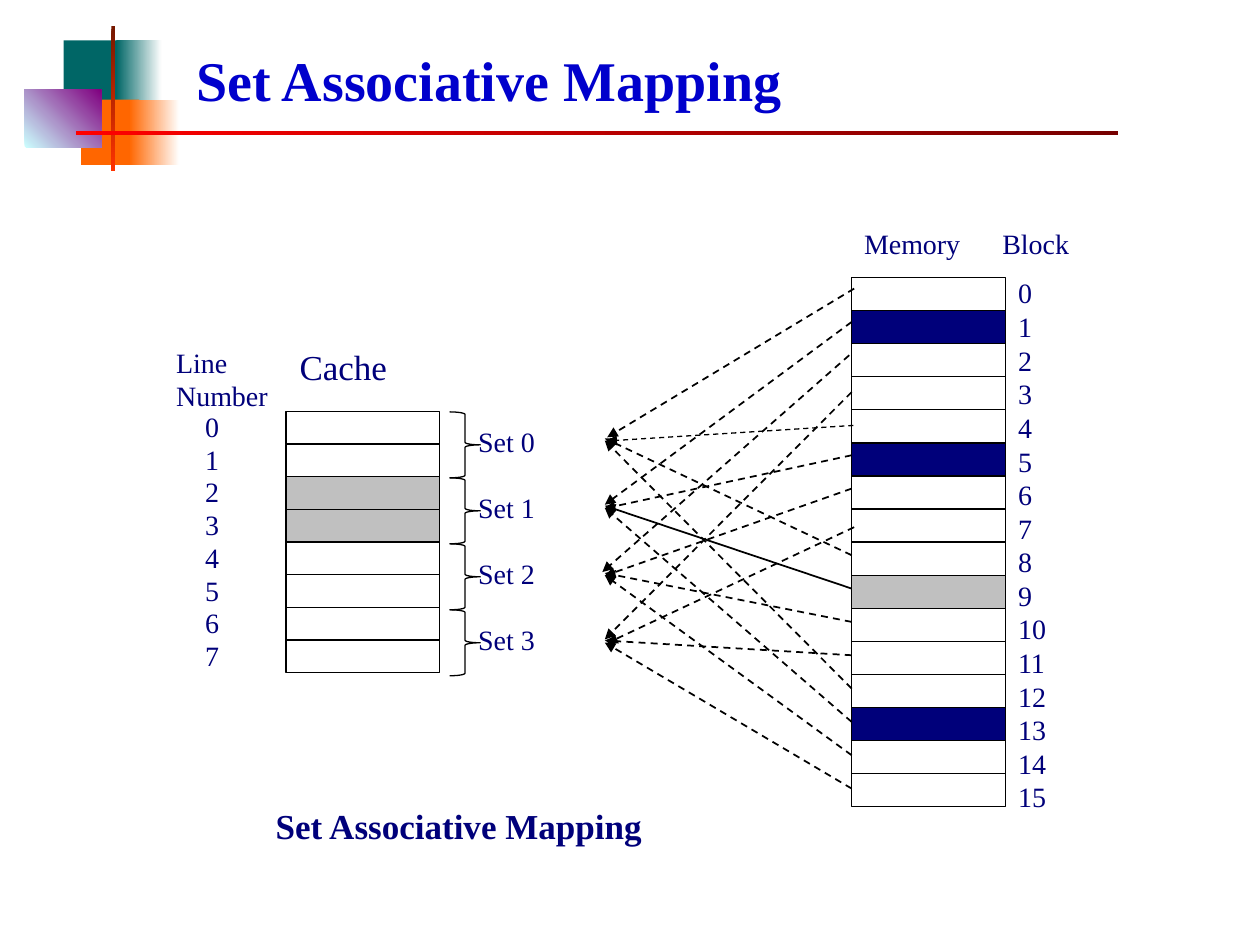
from lxml.etree import SubElement
from pptx import Presentation
from pptx.dml.color import RGBColor
from pptx.enum.dml import MSO_LINE_DASH_STYLE as DASH
from pptx.enum.shapes import MSO_CONNECTOR as CONN, MSO_SHAPE as SHAPE
from pptx.enum.text import MSO_ANCHOR as ANCHOR, MSO_AUTO_SIZE as AUTO, PP_ALIGN as ALIGN
from pptx.oxml.ns import qn
from pptx.util import Pt

FONT = "Times New Roman"
COLORS = {
    "title": "0000CC", "navy": "00007A", "gray": "C0C0C0", "black": "000000",
    "white": "FFFFFF", "teal": "006666", "orange": "FF6600", "aqua": "CCFFFF",
    "purple": "800080", "brown": "761800", "flame": "FF3300", "red": "FF0000",
    "maroon": "760000",
}
SETS = 4
CACHE_LINES = 8
BLOCKS = 16


def rgb(name):
    return RGBColor.from_string(COLORS[name])


def format_text(tf, size, color, bold=False, align=ALIGN.LEFT):
    tf.word_wrap = True
    tf.auto_size = AUTO.NONE
    for p in tf.paragraphs:
        p.alignment = align
        for r in p.runs:
            r.font.name = FONT
            r.font.size = Pt(size)
            r.font.bold = bold
            r.font.color.rgb = rgb(color)


def add_text(s, text, x, y, w, h=28, size=16, bold=False, align=ALIGN.JUSTIFY):
    tf = s.shapes.add_textbox(Pt(x), Pt(y), Pt(w), Pt(h)).text_frame
    tf.text = text
    format_text(tf, size, "navy", bold, align)


def add_box(s, x, y, w, h, fill=None, line=None, kind=SHAPE.RECTANGLE):
    sp = s.shapes.add_shape(kind, Pt(x), Pt(y), Pt(w), Pt(h))
    sp.shadow.inherit = False
    if fill:
        sp.fill.solid()
        sp.fill.fore_color.rgb = rgb(fill)
    else:
        sp.fill.background()
    if line:
        sp.line.color.rgb = rgb(line)
        sp.line.width = Pt(0.75)
    else:
        sp.line.fill.background()
    return sp


def add_gradient(s, x, y, w, h, start, end, angle=0):
    fill = add_box(s, x, y, w, h).fill
    fill.gradient()
    fill.gradient_angle = angle
    for stop, color in zip(fill.gradient_stops, (start, end)):
        stop.color.rgb = rgb(color)


def add_arrow(s, x1, y1, x2, y2, width=1, dashed=True):
    c = s.shapes.add_connector(CONN.STRAIGHT, Pt(x1), Pt(y1), Pt(x2), Pt(y2))
    c.line.color.rgb = rgb("black")
    c.line.width = Pt(width)
    if dashed:
        c.line.dash_style = DASH.DASH
    SubElement(c.line._get_or_add_ln(), qn("a:tailEnd"), type="triangle")
    SubElement(c._element.spPr, qn("a:effectLst"))


def add_ornament(s, x, y):
    add_box(s, x + 22.3, y + 8, 34.6, 37.4, "teal")
    add_gradient(s, x + 52.5, y + 8, 25.9, 37.4, "teal", "white")
    add_box(s, x + 32.4, y + 41.8, 33.1, 37.4, "orange")
    add_gradient(s, x + 59.8, y + 41.8, 28.8, 37.4, "orange", "white")
    add_gradient(s, x, y + 36, 43.9, 33.1, "aqua", "purple", 45)
    add_gradient(s, x + 49.7, y, 2.2, 82.8, "brown", "flame", 270)
    add_gradient(s, x + 29.5, y + 59.8, 595.4, 2.2, "red", "maroon")


def add_title(s, x, y, w, h):
    title = s.shapes.title
    title.left, title.top, title.width, title.height = Pt(x), Pt(y), Pt(w), Pt(h)
    tf = title.text_frame
    tf.text = "Set Associative Mapping"
    tf.vertical_anchor = ANCHOR.MIDDLE
    format_text(tf, 32, "title", True)


def add_cells(s, x, y, w, row, count, fills):
    for i in range(count):
        add_box(s, x, y + i * row, w, row, fills.get(i), "black")


def add_numbers(s, x, y, pitch, count):
    for i in range(count):
        add_text(s, str(i), x, y + i * pitch, 52.5)


def add_cache(s, x, y, w, row):
    add_text(s, "Line\nNumber", x - 69.8, y - 41.5, w)
    add_text(s, "Cache", x + 0.7, y - 41.5, w, size=20)
    add_cells(s, x, y, w, row, CACHE_LINES, {2: "gray", 3: "gray"})
    add_numbers(s, x - 53.3, y - 4.7, 18.7, CACHE_LINES)


def add_sets(s, x, y, pitch):
    for i in range(SETS):
        top = y + i * pitch
        add_text(s, f"Set {i}", x + 9.2, top + 3.8, 102)
        add_box(s, x, top, 17.5, pitch, line="black", kind=SHAPE.RIGHT_BRACE)


def add_memory(s, x, y, w, row):
    add_text(s, "Memory", x, y - 32.6, w)
    add_text(s, "Block", x + 79, y - 32.6, 64)
    add_cells(s, x, y, w, row, BLOCKS, {1: "navy", 5: "navy", 9: "gray", 13: "navy"})
    add_numbers(s, x + w, y - 4.4, 19.2, BLOCKS)


def add_mapping(s, x, y, w):
    round_drop = (0, 2.1, 0.6, 1.8)
    nudges = {0: (1.4, 0), 2: (-1.4, 0), 3: (0, 2), 4: (1, 2), 7: (1.4, 3)}
    for block in range(BLOCKS):
        lap, target = divmod(block, SETS)
        dx, dy = nudges.get(block, (0, 0))
        add_arrow(s, x + w + dx, y + block * 19.05 + dy,
                  x + dx, y + 85 + target * 38.5 + round_drop[lap],
                  0.75 if block == 4 else 1, block != 9)


def main():
    prs = Presentation()
    prs.slide_width, prs.slide_height = Pt(720), Pt(540)
    s = prs.slides.add_slide(prs.slide_layouts[5])
    add_ornament(s, 14, 15.1)
    add_title(s, 105, 20.2, 387, 49.7)
    add_text(s, "Set Associative Mapping", 150.5, 456, 288, 34.6, 20, True, ALIGN.LEFT)
    add_cache(s, 163.4, 235.2, 88, 18.65)
    add_sets(s, 257, 235.4, 37.7)
    add_memory(s, 486.7, 158.6, 88, 18.9)
    add_mapping(s, 345.6, 164.9, 141.1)
    prs.save("out.pptx")


if __name__ == "__main__":
    main()
